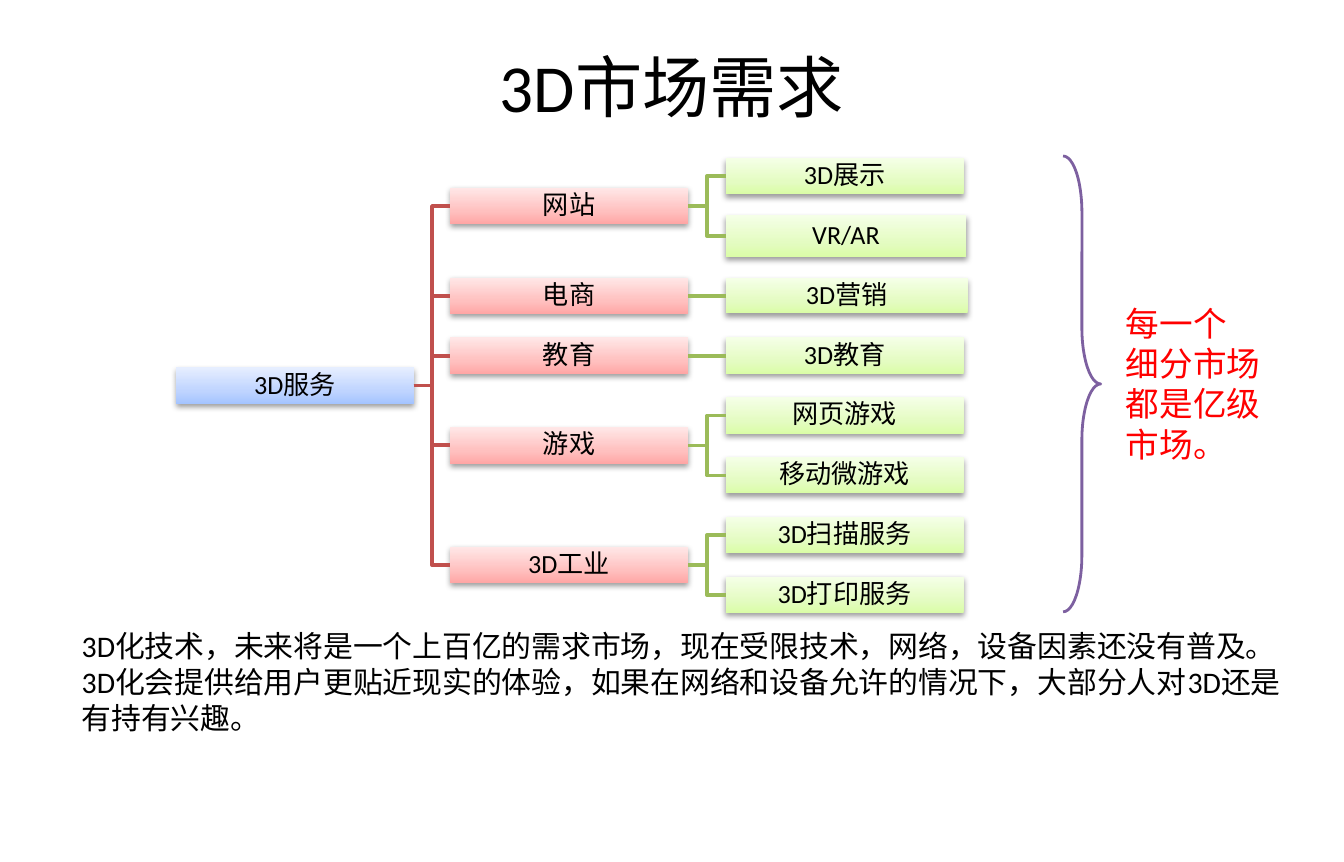
"""Build the 3D market demand slide with its service tree."""
from copy import deepcopy

from pptx import Presentation
from pptx.dml.color import RGBColor
from pptx.enum.shapes import MSO_CONNECTOR, MSO_SHAPE
from pptx.enum.text import MSO_ANCHOR, PP_ALIGN
from pptx.oxml import parse_xml
from pptx.oxml.ns import nsdecls, qn
from pptx.util import Inches, Pt

RECTANGLE = MSO_SHAPE.RECTANGLE
RIGHT_BRACE = MSO_SHAPE.RIGHT_BRACE
ELBOW = MSO_CONNECTOR.ELBOW
MIDDLE = MSO_ANCHOR.MIDDLE
CENTER = PP_ALIGN.CENTER
LEFT_SITE, RIGHT_SITE = 1, 3

BOX_WIDTH, BOX_HEIGHT = 1.77, 0.27
LEAF_TOP, LEAF_PITCH = 1.31, 0.445
COLUMN_LEFTS = [1.31, 3.35, 5.4]
GRADIENTS = [
    ["A4C4FF", "BFD4FF", "E6EEFF"],
    ["FFA6A5", "FFC0BF", "FFE7E7"],
    ["DAFDA7", "E4FCC2", "F5FFE7"],
]
STOP_POSITIONS = [0, 0.35, 1]
BRANCHES = [
    ("网站", ["3D展示", "VR/AR"]),
    ("电商", ["3D营销"]),
    ("教育", ["3D教育"]),
    ("游戏", ["网页游戏", "移动微游戏"]),
    ("3D工业", ["3D扫描服务", "3D打印服务"]),
]
LEAF_SIZES = {"VR/AR": (1.79, 0.31), "3D营销": (1.8, 0.26)}
SHADOW = (
    f'<a:outerShdw {nsdecls("a")} blurRad="40000" dist="20000" dir="5400000" '
    'rotWithShape="0"><a:srgbClr val="000000"><a:alpha val="38000"/>'
    "</a:srgbClr></a:outerShdw>"
)


def color(hex_string):
    return RGBColor.from_string(hex_string)


def write(frame, text, size, hex_string, alignment=None):
    frame.text = text
    frame.word_wrap = True
    for para in frame.paragraphs:
        para.alignment = alignment
        for span in para.runs:
            span.font.name = "Calibri"
            span.font.size = Pt(size)
            span.font.color.rgb = color(hex_string)


deck = Presentation()
deck.slide_width, deck.slide_height = Inches(10), Inches(6.41)
page = deck.slides.add_slide(deck.slide_layouts[5])

title = page.shapes.title
title.left, title.top = Inches(0.5), Inches(0.26)
title.width, title.height = Inches(9), Inches(0.75)
title.text_frame.vertical_anchor = MIDDLE
write(title.text_frame, "3D市场需求", 36, "000000", CENTER)

nodes = []
links = []
branch_middles = []
row = 0
for branch, leaves in BRANCHES:
    middles = [LEAF_TOP + LEAF_PITCH * (row + i) for i in range(len(leaves))]
    row += len(leaves)
    branch_middles.append(sum(middles) / len(middles))
    nodes.append((branch, 1, branch_middles[-1]))
    links.append(("3D服务", branch, "C0504D"))
    for leaf, middle in zip(leaves, middles):
        nodes.append((leaf, 2, middle))
        links.append((branch, leaf, "9BBB59"))
nodes.insert(0, ("3D服务", 0, (branch_middles[0] + branch_middles[-1]) / 2))

boxes = {}
for label, level, middle in nodes:
    width, height = LEAF_SIZES.get(label, (BOX_WIDTH, BOX_HEIGHT))
    box = page.shapes.add_shape(
        RECTANGLE, Inches(COLUMN_LEFTS[level]), Inches(middle - height / 2),
        Inches(width), Inches(height))
    boxes[label] = box
    box.line.fill.background()
    box.fill.gradient()
    box.fill.gradient_angle = 90
    stop_list = box._element.spPr.find(qn("a:gradFill")).find(qn("a:gsLst"))
    stop_list.append(deepcopy(stop_list[-1]))
    for stop, position, shade in zip(
            box.fill.gradient_stops, STOP_POSITIONS, GRADIENTS[level]):
        stop.position = position
        stop.color.rgb = color(shade)
    box.shadow.inherit = False
    box._element.spPr.find(qn("a:effectLst")).append(parse_xml(SHADOW))
    frame = box.text_frame
    frame.margin_left = frame.margin_right = Inches(0.01)
    frame.margin_top = frame.margin_bottom = Inches(0.01)
    frame.vertical_anchor = MIDDLE
    write(frame, label, 14, "000000", CENTER)
    frame.paragraphs[0].line_spacing = 0.9

for parent, child, shade in links:
    link = page.shapes.add_connector(ELBOW, 0, 0, 0, 0)
    link.begin_connect(boxes[parent], RIGHT_SITE)
    link.end_connect(boxes[child], LEFT_SITE)
    link.line.color.rgb = color(shade)
    link.line.width = Pt(2)
    link._element.spPr.append(parse_xml(f'<a:effectLst {nsdecls("a")}/>'))

summary = page.shapes.add_textbox(
    Inches(0.51), Inches(4.62), Inches(9.13), Inches(0.91))
write(
    summary.text_frame,
    "3D化技术，未来将是一个上百亿的需求市场，现在受限技术，网络，设备因素还没有普及。 "
    "3D化会提供给用户更贴近现实的体验，如果在网络和设备允许的情况下，"
    "大部分人对3D还是有持有兴趣。",
    16, "000000")

brace = page.shapes.add_shape(
    RIGHT_BRACE, Inches(7.91), Inches(1.16), Inches(0.28), Inches(3.39))
brace.adjustments[0], brace.adjustments[1] = 1.5, 0.5
brace.shadow.inherit = False
brace.fill.background()
brace.line.color.rgb = color("7D60A0")
brace.line.width = Pt(1.5)

remark = page.shapes.add_textbox(
    Inches(8.28), Inches(2.2), Inches(1.6), Inches(1.31))
write(remark.text_frame, "每一个\n细分市场\n都是亿级\n市场。", 18, "FF0000")

deck.save("out.pptx")
